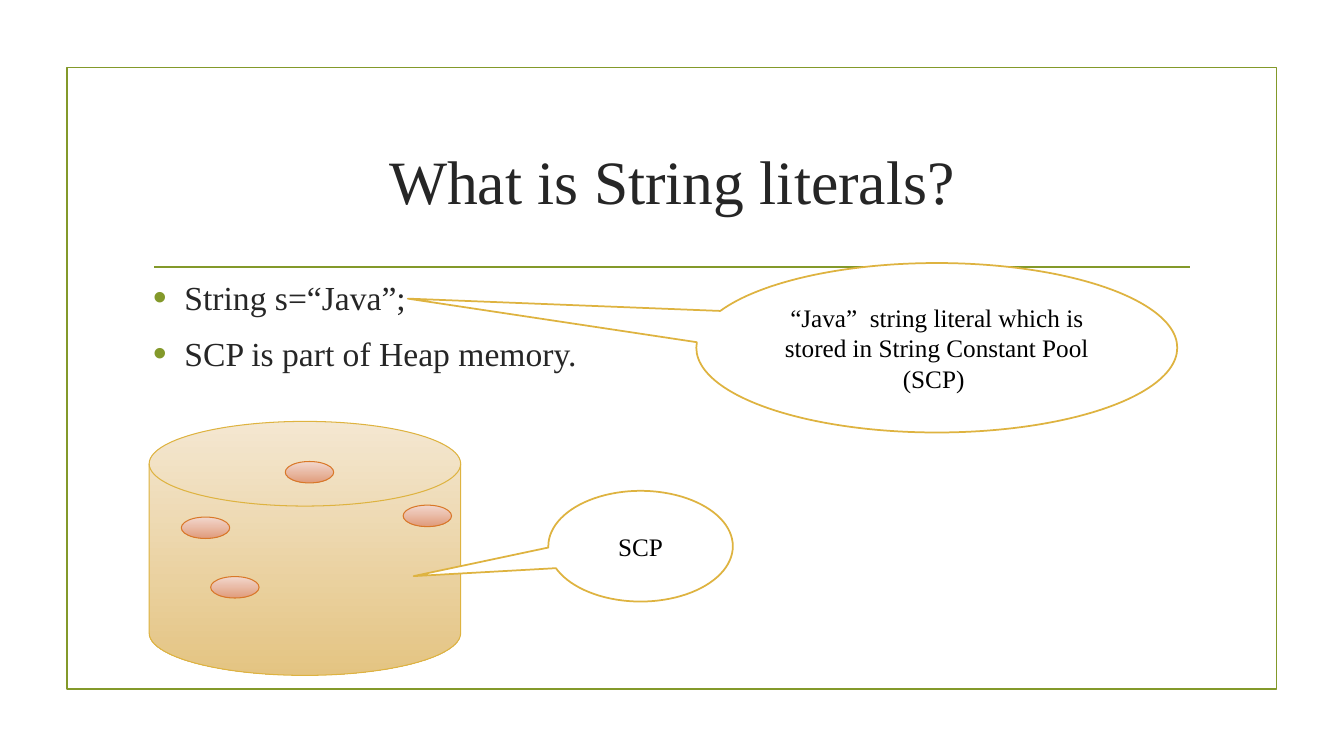
from dataclasses import dataclass

from lxml import etree
from pptx import Presentation
from pptx.dml.color import RGBColor
from pptx.enum.shapes import MSO_CONNECTOR, MSO_SHAPE
from pptx.enum.text import MSO_ANCHOR, PP_ALIGN
from pptx.oxml.ns import qn
from pptx.util import Cm, Pt

RECT = MSO_SHAPE.RECTANGLE
OVAL = MSO_SHAPE.OVAL
DISK = MSO_SHAPE.FLOWCHART_MAGNETIC_DISK
BUBBLE = MSO_SHAPE.OVAL_CALLOUT
STRAIGHT = MSO_CONNECTOR.STRAIGHT
MIDDLE = MSO_ANCHOR.MIDDLE
TOP = MSO_ANCHOR.TOP
CENTER = PP_ALIGN.CENTER
LEFT = PP_ALIGN.LEFT


@dataclass(frozen=True)
class Theme:
    face: str = "Times New Roman"
    ink: str = "262626"
    black: str = "000000"
    white: str = "FFFFFF"
    green: str = "83992A"
    gold: str = "DEB340"
    rust: str = "D97828"
    sand: tuple = ("F4E7D1", "E4C482")
    clay: tuple = ("F2D7CD", "E09C7C")
    head: int = 44
    body: int = 24
    note: int = 18
    thick: float = 1.25
    thin: float = 0.75


class Deck:
    def __init__(self, theme):
        self.theme = theme
        self.file = Presentation()
        self.file.slide_width, self.file.slide_height = Cm(33.87), Cm(19.05)
        self.slide = self.file.slides.add_slide(self.file.slide_layouts[5])

    def style(self, para, size, color, align):
        para.alignment = align
        for run in para.runs:
            run.font.name = self.theme.face
            run.font.size = Pt(size)
            run.font.color.rgb = RGBColor.from_string(color)

    def title(self, text, *box):
        head = self.slide.shapes.title
        head.left, head.top, head.width, head.height = map(Cm, box)
        head.text_frame.text = text
        head.text_frame.vertical_anchor = MIDDLE
        self.style(head.text_frame.paragraphs[0], self.theme.head, self.theme.ink, CENTER)

    def bullets(self, items, *box):
        frame = self.slide.shapes.add_textbox(*map(Cm, box)).text_frame
        frame.word_wrap = True
        frame.vertical_anchor = TOP
        for num, item in enumerate(items):
            para = frame.add_paragraph() if num else frame.paragraphs[0]
            para.text = item
            para.space_before = Pt(5 if num else 0)
            para.space_after = Pt(6)
            props = para._p.get_or_add_pPr()
            props.set("marL", str(Cm(0.79)))
            props.set("indent", str(-Cm(0.79)))
            tint = etree.SubElement(props, qn("a:buClr"))
            etree.SubElement(tint, qn("a:srgbClr"), val=self.theme.green)
            etree.SubElement(props, qn("a:buSzPct"), val="115000")
            etree.SubElement(props, qn("a:buFont"), typeface="Arial")
            etree.SubElement(props, qn("a:buChar"), char="•")
            self.style(para, self.theme.body, self.theme.ink, LEFT)

    def shape(self, kind, box, line, width, fill=None):
        """A fill is None, one colour, or a pair for a downward gradient."""
        item = self.slide.shapes.add_shape(kind, *map(Cm, box))
        item.shadow.inherit = False
        item.line.color.rgb = RGBColor.from_string(line)
        item.line.width = Pt(width)
        if fill is None:
            item.fill.background()
        elif isinstance(fill, str):
            item.fill.solid()
            item.fill.fore_color.rgb = RGBColor.from_string(fill)
        else:
            item.fill.gradient()
            item.fill.gradient_angle = 270
            for place, (stop, color) in enumerate(zip(item.fill.gradient_stops, fill)):
                stop.position = place
                stop.color.rgb = RGBColor.from_string(color)
        return item

    def bubble(self, text, box, tip):
        look = self.theme
        item = self.shape(BUBBLE, box, look.gold, look.thick, look.white)
        item.adjustments[0], item.adjustments[1] = tip
        frame = item.text_frame
        frame.text = text
        frame.word_wrap = True
        frame.vertical_anchor = MIDDLE
        self.style(frame.paragraphs[0], look.note, look.black, CENTER)

    def rule(self, left, right, top):
        line = self.slide.shapes.add_connector(
            STRAIGHT, Cm(left), Cm(top), Cm(right), Cm(top))
        line.line.color.rgb = RGBColor.from_string(self.theme.green)
        line.line.width = Pt(self.theme.thick)
        etree.SubElement(line._element.spPr, qn("a:effectLst"))


def main():
    look = Theme()
    deck = Deck(look)

    # Border, title and rule
    deck.shape(RECT, (1.69, 1.7, 30.48, 15.67), look.green, look.thick)
    deck.rule(3.89, 30, 6.73)
    deck.title("What is String literals?", 3.61, 2.72, 26.67, 3.63)

    # Bullets and the note on the literal
    deck.bullets(["String s=“Java”;", "SCP is part of Heap memory."],
                 3.61, 6.86, 26.67, 9.22)
    deck.bubble("“Java”  string literal which is stored in String Constant Pool (SCP) ",
                (17.55, 6.63, 12.12, 4.27), (-1.1, -0.29))

    # Heap with its pooled strings
    deck.shape(DISK, (3.76, 10.62, 7.85, 6.4), look.gold, look.thin, look.sand)
    for left, top in [(4.57, 13.03), (5.31, 14.53), (7.19, 11.63), (10.16, 12.73)]:
        deck.shape(OVAL, (left, top, 1.22, 0.54), look.rust, look.thin, look.clay)
    deck.bubble("SCP", (13.82, 12.37, 4.65, 2.79), (-1.23, 0.27))

    deck.file.save("out.pptx")


if __name__ == "__main__":
    main()
